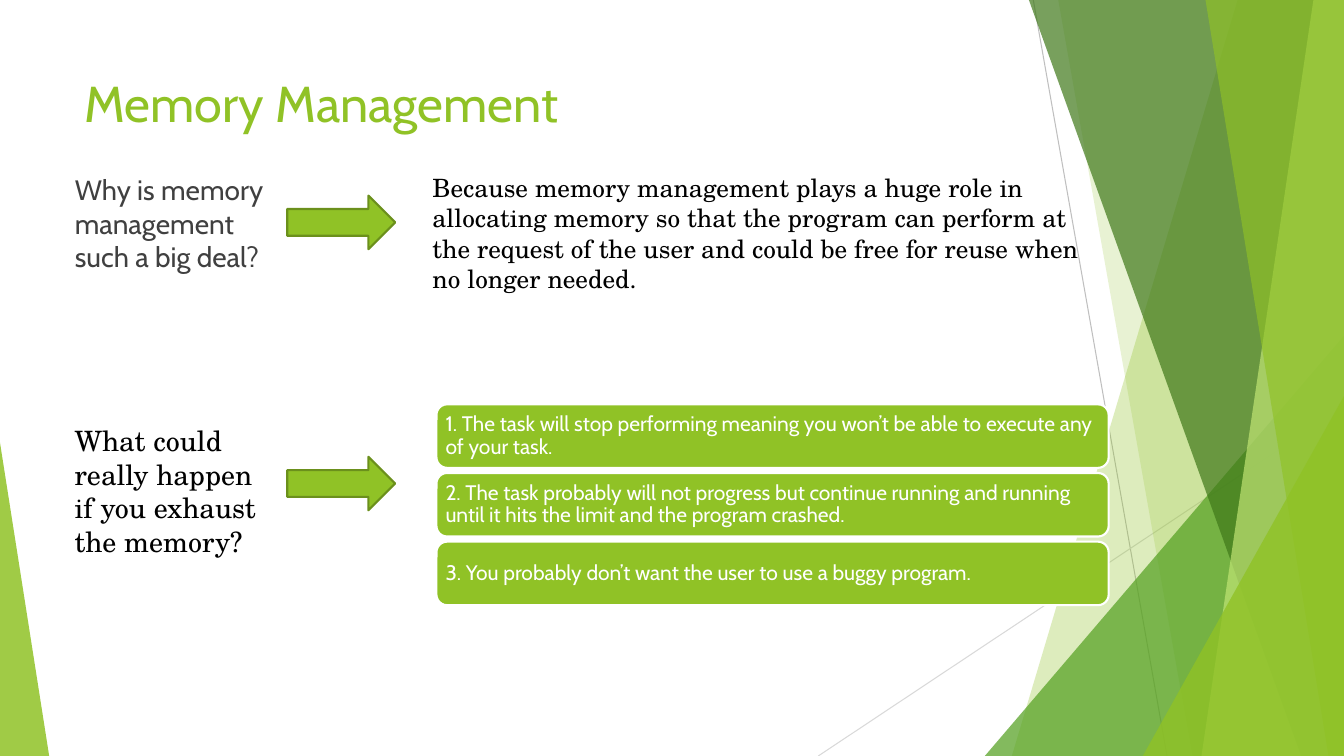
from lxml.etree import SubElement
from pptx import Presentation
from pptx.dml.color import RGBColor
from pptx.enum.shapes import MSO_CONNECTOR, MSO_SHAPE
from pptx.enum.text import MSO_ANCHOR, MSO_AUTO_SIZE, PP_ALIGN
from pptx.oxml.ns import qn
from pptx.util import Cm, Pt

COLOURS = {
    "green": "90C226", "leaf": "54A021", "forest": "3F7819", "lime": "C0E474",
    "arrow edge": "6B901C", "steep line": "BFBFBF", "flat line": "D9D9D9",
    "white": "FFFFFF", "question": "404040", "black": "000000",
}
SANS, SERIF = "Cabin", "TeX Gyre Schola"
WIDTH, HEIGHT = 33.87, 19.05
CONSEQUENCES = [
    "1. The task will stop performing meaning you won’t be able to execute any of your task.",
    "2. The task probably will not progress but continue running and running "
    "until it hits the limit and the program crashed.",
    "3. You probably don’t want the user to use a buggy program.",
]


def colour(name):
    """Return the named colour."""
    return RGBColor.from_string(COLOURS[name])


def paint(shape, fill, opacity=100, edge=None):
    """Give a shape a flat fill and an optional edge."""
    shape.shadow.inherit = False
    shape.fill.solid()
    shape.fill.fore_color.rgb = colour(fill)
    if opacity < 100:
        tint = shape.fill._xPr.find(qn("a:solidFill"))[0]
        SubElement(tint, qn("a:alpha"), val=str(opacity * 1000))
    if edge:
        shape.line.color.rgb = colour(edge)
        shape.line.width = Pt(1.5)
    else:
        shape.line.fill.background()


def write(shape, words, font, size, ink, anchor=MSO_ANCHOR.TOP):
    """Write one left-aligned paragraph into a shape."""
    frame = shape.text_frame
    frame.text = words
    frame.word_wrap = True
    frame.auto_size = MSO_AUTO_SIZE.NONE
    frame.vertical_anchor = anchor
    paragraph = frame.paragraphs[0]
    paragraph.alignment = PP_ALIGN.LEFT
    paragraph.font.name = font
    paragraph.font.size = Pt(size)
    paragraph.font.color.rgb = colour(ink)
    return paragraph


def place(shape, left, top, width, height):
    """Move a placeholder to a box given in centimetres."""
    shape.left, shape.top = Cm(left), Cm(top)
    shape.width, shape.height = Cm(width), Cm(height)


def add_ray(shapes, start, end, ink):
    """Draw a thin background line."""
    ray = shapes.add_connector(MSO_CONNECTOR.STRAIGHT, *map(Cm, start + end))
    ray.line.color.rgb = colour(ink)
    ray.line.width = Pt(0.75)
    SubElement(ray._element.spPr, qn("a:effectLst"))


def add_facet(shapes, top_left, bottom_left, fill, opacity):
    """Draw a full-height facet that ends at the right edge."""
    corners = [(top_left, 0), (WIDTH, 0), (WIDTH, HEIGHT), (bottom_left, HEIGHT)]
    points = [(Cm(x), Cm(y)) for x, y in corners]
    builder = shapes.build_freeform(*points[0], scale=1.0)
    builder.add_line_segments(points[1:], close=True)
    paint(builder.convert_to_shape(), fill, opacity)


def add_wedge(shapes, left, width, height, apex, fill, opacity):
    """Draw a right-angled triangle standing on the bottom edge."""
    wedge = shapes.add_shape(MSO_SHAPE.ISOSCELES_TRIANGLE, Cm(left), Cm(HEIGHT - height),
                             Cm(width), Cm(height))
    wedge.adjustments[0] = apex
    paint(wedge, fill, opacity)


def add_backdrop(shapes):
    """Draw the green facets behind the content."""
    add_ray(shapes, (26.04, 0), (29.41, HEIGHT), "steep line")
    add_ray(shapes, (WIDTH, 10.24), (20.62, HEIGHT), "flat line")
    add_facet(shapes, 31.19, 25.5, "green", 30)
    add_facet(shapes, 26.67, 30.05, "green", 20)
    add_wedge(shapes, 24.82, 9.05, 10.59, 1, "leaf", 72)
    add_facet(shapes, 25.93, 32.79, "forest", 70)
    add_facet(shapes, 33.1, 30.28, "lime", 70)
    add_facet(shapes, 30.38, 33.48, "green", 65)
    add_wedge(shapes, 28.8, 5.07, 9.07, 1, "green", 80)
    add_wedge(shapes, 0, 1.24, 7.9, 0, "green", 85)


def add_heading(title, left, top, width, height):
    """Place and style the slide title."""
    place(title, left, top, width, height)
    write(title, "Memory Management", SANS, 36, "green")


def add_arrow(shapes, left, top):
    """Draw the arrow that leads from a question to its answer."""
    arrow = shapes.add_shape(MSO_SHAPE.RIGHT_ARROW, Cm(left), Cm(top), Cm(2.72), Cm(1.35))
    paint(arrow, "green", edge="arrow edge")


def add_importance(shapes, question, left, top, width, height):
    """Place the first question, its arrow and its answer."""
    place(question, left, top, 5.61, height)
    asked = write(question, "Why is memory management such a big deal?", SANS, 20, "question")
    asked.space_before = Pt(10)
    properties = asked._p.get_or_add_pPr()
    properties.set("marL", "0")
    properties.set("indent", "0")
    properties.insert_element_before(properties.makeelement(qn("a:buNone")),
                                     "a:tabLst", "a:defRPr", "a:extLst")
    answer = shapes.add_textbox(Cm(left + 9.02), Cm(top), Cm(width - 9.02), Cm(3.33))
    write(answer, "Because memory management plays a huge role in allocating memory so that "
          "the program can perform at the request of the user and could be free for reuse "
          "when no longer needed.", SERIF, 18, "black")
    add_arrow(shapes, left + 5.61, top + 0.71)


def add_exhaustion(shapes, left, top, width, height):
    """Place the second question, its arrow and the stack of consequences."""
    question = shapes.add_textbox(Cm(left), Cm(top + 0.36), Cm(5.26), Cm(3.68))
    write(question, "What could really happen if you exhaust the memory?", SERIF, 20, "black")
    add_arrow(shapes, left + 5.61, top + 1.32)
    gap = 0.13
    bar_height = (height - 2 * gap) / 3
    for row, words in enumerate(CONSEQUENCES):
        bar = shapes.add_shape(MSO_SHAPE.ROUNDED_RECTANGLE, Cm(left + 9.37),
                               Cm(top + row * (bar_height + gap)),
                               Cm(width - 9.37), Cm(bar_height))
        paint(bar, "green", edge="white")
        frame = bar.text_frame
        frame.margin_left = frame.margin_right = Cm(0.15)
        frame.margin_top = frame.margin_bottom = Cm(0.15)
        consequence = write(bar, words, SANS, 15, "white", MSO_ANCHOR.MIDDLE)
        consequence.line_spacing = 0.9


def main():
    """Build and save the slide."""
    deck = Presentation()
    deck.slide_width, deck.slide_height = Cm(WIDTH), Cm(HEIGHT)
    slide = deck.slides.add_slide(deck.slide_layouts[1])
    add_backdrop(slide.shapes)
    add_heading(slide.shapes.title, 1.88, 1.7, 23.88, 3.66)
    add_importance(slide.shapes, slide.placeholders[1], 1.63, 4.22, 25.96, 4.62)
    add_exhaustion(slide.shapes, 1.63, 10.19, 26.31, 5.06)
    deck.save("out.pptx")


if __name__ == "__main__":
    main()
